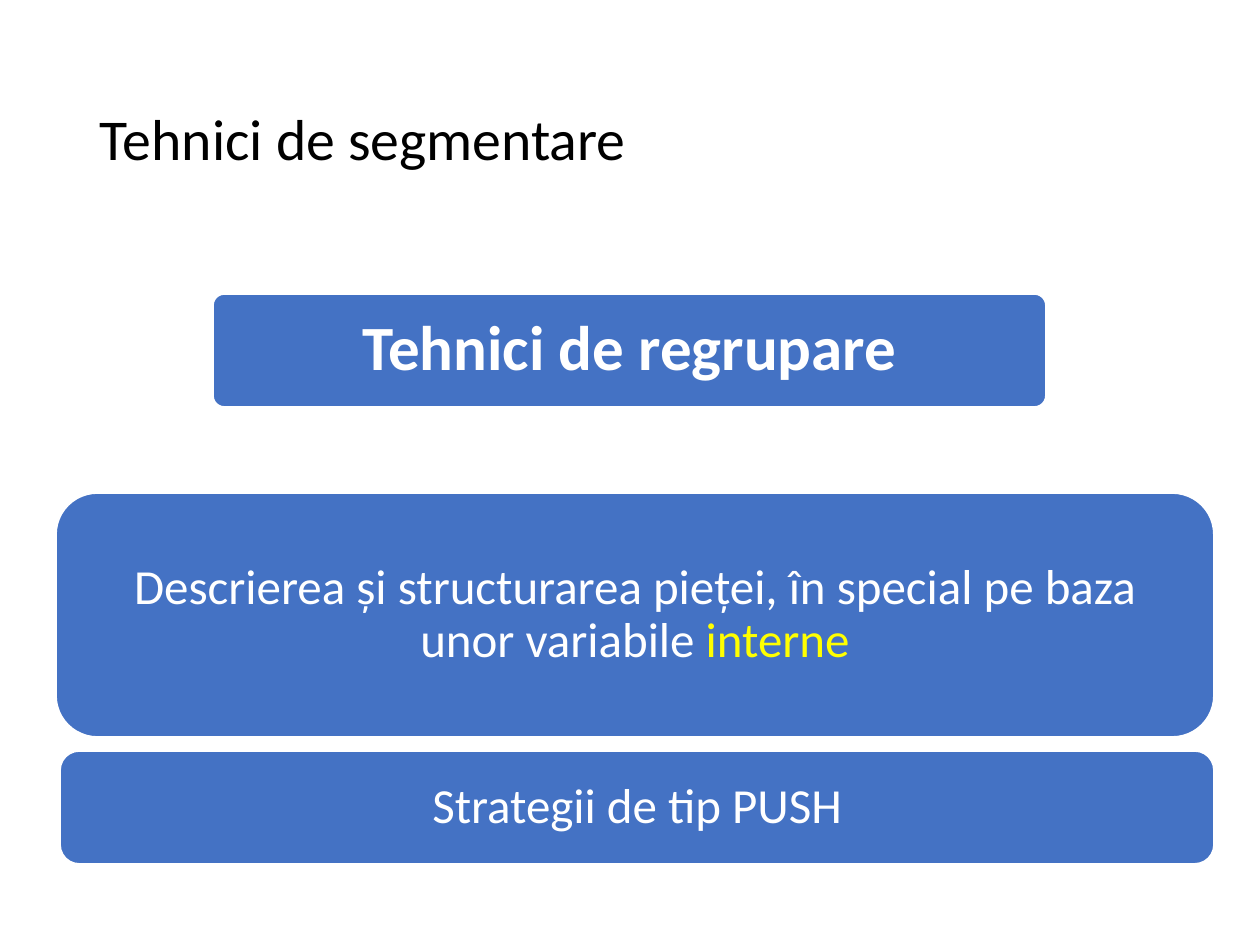
from pptx import Presentation
from pptx.dml.color import RGBColor
from pptx.enum.shapes import MSO_SHAPE as Shape
from pptx.enum.text import MSO_ANCHOR as Anchor, PP_ALIGN as Align
from pptx.util import Inches, Pt

BLACK = RGBColor(0x00, 0x00, 0x00)
WHITE = RGBColor(0xFF, 0xFF, 0xFF)
BLUE = RGBColor(0x44, 0x72, 0xC4)
YELLOW = RGBColor(0xFF, 0xFF, 0x00)

TITLE = {
    "place": (87, 50, 1086, 183), "inset": (13, 6), "align": Align.LEFT,
    "spans": [("Tehnici de segmentare", BLACK)],
    "font": {"size": Pt(33), "bold": False},
}
PANELS = [
    {
        "place": (213, 294, 833, 113), "inset": (12, 9), "align": Align.CENTER,
        "corner": 0.1, "spans": [("Tehnici de regrupare", WHITE)],
        "font": {"size": Pt(36), "bold": True},
    },
    {
        "place": (56, 493, 1158, 244), "inset": (39, 39), "align": Align.CENTER,
        "corner": 0.17,
        "spans": [
            ("Descrierea și structurarea pieței, în special pe baza unor variabile ", WHITE),
            ("interne", YELLOW),
        ],
        "font": {"size": Pt(28), "bold": False},
    },
    {
        "place": (60, 751, 1154, 113), "inset": (33, 33), "align": Align.CENTER,
        "corner": 0.17, "spans": [("Strategii de tip PUSH", WHITE)],
        "font": {"size": Pt(28), "bold": False},
    },
]


def px(length):
    return round(length * Inches(1) / 126)


def write_text(box, item):
    frame = box.text_frame
    across, down = map(px, item["inset"])
    layout = {
        "word_wrap": True, "vertical_anchor": Anchor.MIDDLE,
        "margin_left": across, "margin_right": across,
        "margin_top": down, "margin_bottom": down,
    }
    for name, value in layout.items():
        setattr(frame, name, value)
    para = frame.paragraphs[0]
    para.alignment = item["align"]
    para.line_spacing = 0.9
    for text, color in item["spans"]:
        span = para.add_run()
        span.text = text
        for name, value in {"name": "Calibri", **item["font"]}.items():
            setattr(span.font, name, value)
        span.font.color.rgb = color


def add_panel(page, item):
    box = page.shapes.add_shape(Shape.ROUNDED_RECTANGLE, *map(px, item["place"]))
    box.adjustments[0] = item["corner"]
    box.shadow.inherit = False
    box.fill.solid()
    box.fill.fore_color.rgb = BLUE
    box.line.color.rgb = WHITE
    box.line.width = Pt(1)
    write_text(box, item)


def main():
    deck = Presentation()
    deck.slide_width, deck.slide_height = px(1260), px(945)
    page = deck.slides.add_slide(deck.slide_layouts[6])
    write_text(page.shapes.add_textbox(*map(px, TITLE["place"])), TITLE)
    for item in PANELS:
        add_panel(page, item)
    deck.save("out.pptx")


if __name__ == "__main__":
    main()
